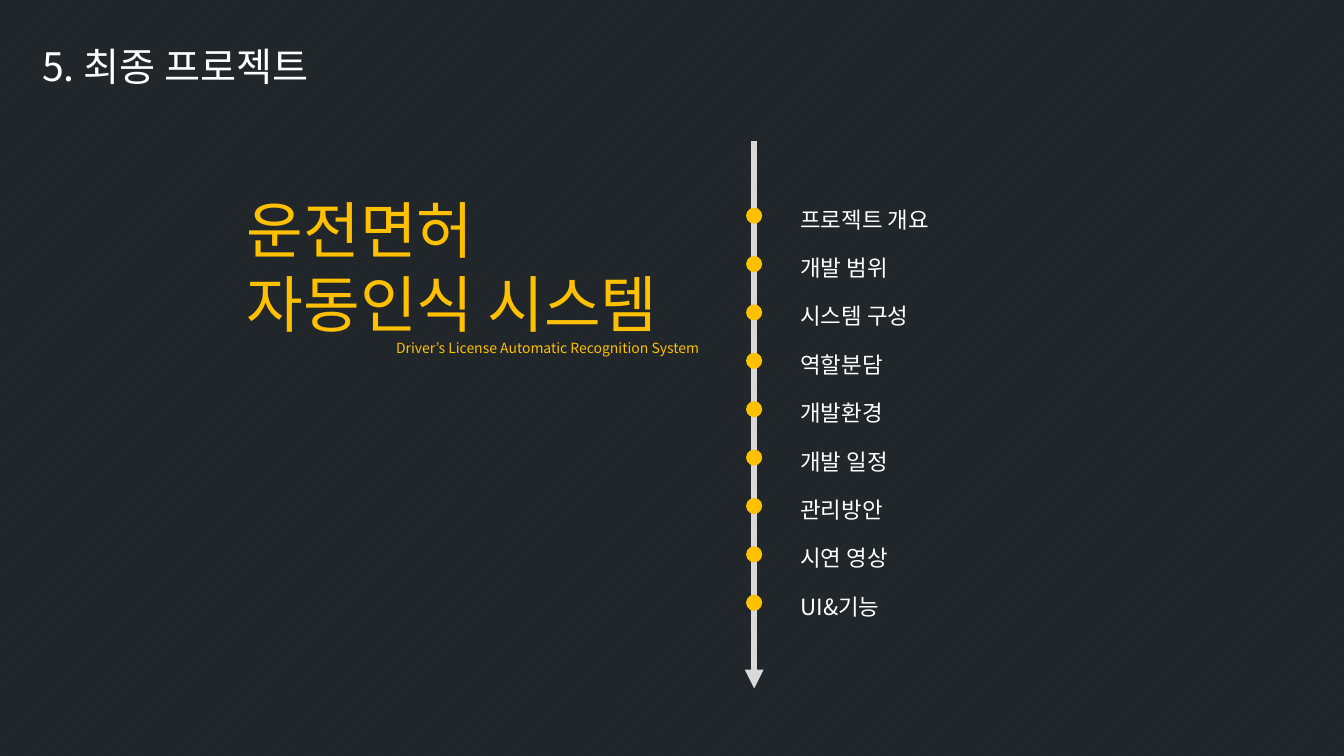
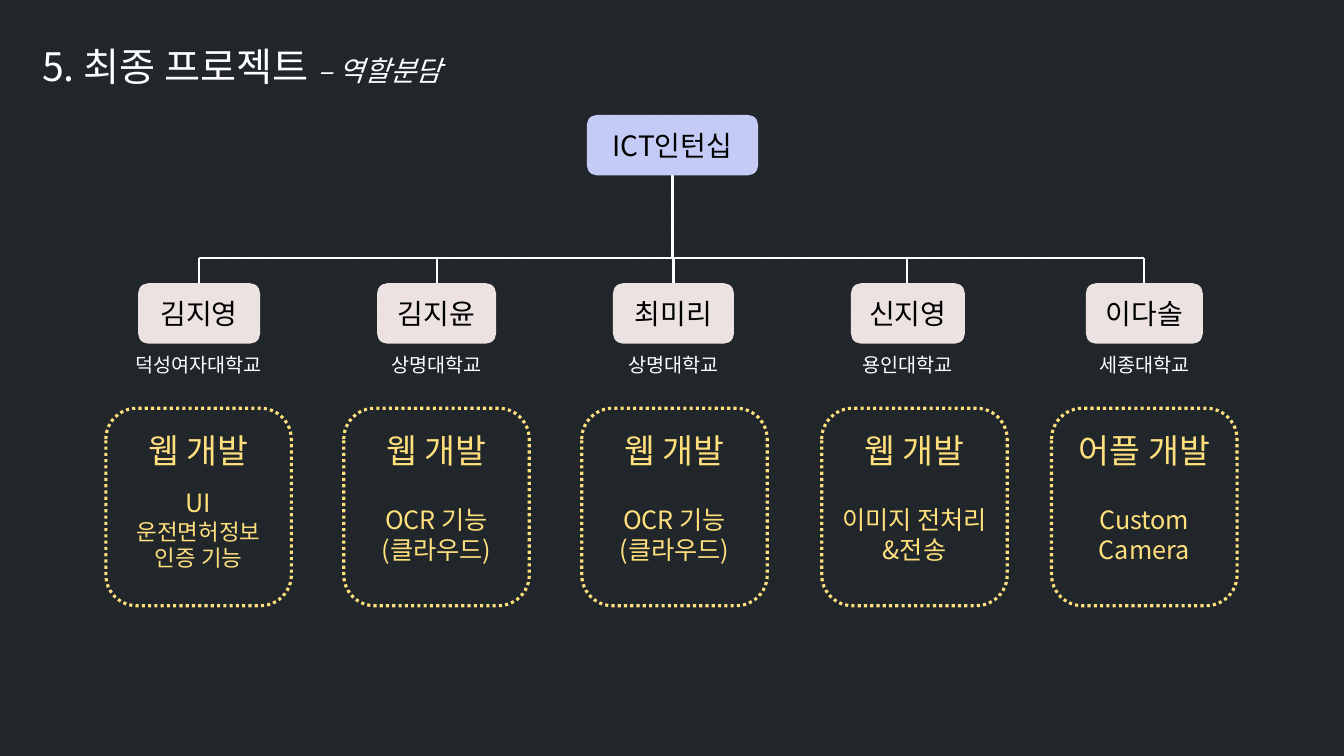
"""Build two dark slides: a project outline and a team chart."""
from dataclasses import dataclass

from lxml import etree
from pptx import Presentation
from pptx.dml.color import RGBColor
from pptx.enum.dml import MSO_LINE, MSO_PATTERN
from pptx.enum.shapes import MSO_CONNECTOR, MSO_SHAPE
from pptx.enum.text import MSO_ANCHOR, PP_ALIGN
from pptx.oxml.ns import qn
from pptx.shapes.autoshape import Shape
from pptx.slide import Slide
from pptx.util import Emu, Pt

PX = 9144
FACE = "Noto Sans CJK KR"
LEAD = 1.2
COLORS = {
    "back": "21262A", "grain": "282F34", "white": "FFFFFF", "black": "000000",
    "gold": "FFC000", "pale": "FFE07D", "gray": "D9D9D9",
    "rose": "EBE2E1", "blue": "C5CBF7",
}
OVAL, ROUND = MSO_SHAPE.OVAL, MSO_SHAPE.ROUNDED_RECTANGLE
LEFT, MID, RIGHT = PP_ALIGN.LEFT, PP_ALIGN.CENTER, PP_ALIGN.RIGHT
TOP, CENTER = MSO_ANCHOR.TOP, MSO_ANCHOR.MIDDLE
LINE, DOT = MSO_CONNECTOR.STRAIGHT, MSO_LINE.ROUND_DOT
GRAIN = MSO_PATTERN.PERCENT_5


@dataclass(frozen=True)
class Run:
    text: str
    size: int
    color: str = "white"
    slant: bool = False


@dataclass(frozen=True)
class Para:
    runs: tuple[Run, ...]
    align: PP_ALIGN = LEFT
    gap: int = 0
    lead: float = LEAD


@dataclass(frozen=True)
class Box:
    x: int
    y: int
    w: int
    h: int


@dataclass(frozen=True)
class Member:
    name: str
    school: str
    mid: int
    width: int
    frame: int
    role: str
    tasks: tuple[tuple[str, int], ...]
    gap: int = 24


TOPICS = ("프로젝트 개요", "개발 범위", "시스템 구성", "역할분담", "개발환경",
          "개발 일정", "관리방안", "시연 영상", "UI&기능")
OCR = (("OCR 기능", 18), ("(클라우드)", 18))
TEAM = (
    Member("김지영", "덕성여자대학교", 197, 121, 105, "웹 개발",
           (("UI", 18), ("운전면허정보", 16), ("인증 기능", 16)), 12),
    Member("김지윤", "상명대학교", 433, 118, 341, "웹 개발", OCR),
    Member("최미리", "상명대학교", 668, 120, 577, "웹 개발", OCR),
    Member("신지영", "용인대학교", 900, 113, 815, "웹 개발",
           (("이미지 전처리", 18), ("&전송", 18))),
    Member("이다솔", "세종대학교", 1135, 116, 1043, "어플 개발",
           (("Custom", 18), ("Camera", 18))),
)


def px(num: int) -> Emu:
    return Emu(num * PX)


def rgb(key: str) -> RGBColor:
    return RGBColor.from_string(COLORS[key])


def apply(target: object, values: dict[str, object]) -> None:
    for key, value in values.items():
        setattr(target, key, value)


def write(shape: Shape, paras: list[Para], anchor: MSO_ANCHOR = TOP,
          side: int = 10, top: int = 5) -> None:
    frame = shape.text_frame
    apply(frame, {"word_wrap": True, "vertical_anchor": anchor,
                  "margin_left": px(side), "margin_right": px(side),
                  "margin_top": px(top), "margin_bottom": px(0)})
    for num, para in enumerate(paras):
        line = frame.add_paragraph() if num else frame.paragraphs[0]
        tall = max(run.size for run in para.runs)
        apply(line, {"alignment": para.align, "space_before": Pt(para.gap),
                     "line_spacing": Pt(tall * para.lead)})
        for run in para.runs:
            part = line.add_run()
            part.text = run.text
            apply(part.font, {"name": FACE, "size": Pt(run.size), "italic": run.slant})
            part.font.color.rgb = rgb(run.color)
            etree.SubElement(part.font._element, qn("a:ea"), typeface=FACE)


def add_text(slide: Slide, box: Box, paras: list[Para]) -> None:
    write(slide.shapes.add_textbox(px(box.x), px(box.y), px(box.w), px(box.h)), paras)


def add_shape(slide: Slide, kind: MSO_SHAPE, box: Box, fill: str = "") -> Shape:
    shape = slide.shapes.add_shape(kind, px(box.x), px(box.y), px(box.w), px(box.h))
    shape.shadow.inherit = False
    shape.line.fill.background()
    if fill:
        shape.fill.solid()
        shape.fill.fore_color.rgb = rgb(fill)
    else:
        shape.fill.background()
    return shape


def add_card(slide: Slide, box: Box, text: str, fill: str) -> None:
    card = add_shape(slide, ROUND, box, fill)
    write(card, [Para((Run(text, 20, "black"),), MID)], CENTER, 0, 0)


def add_line(slide: Slide, start: tuple[int, int], end: tuple[int, int],
             color: str = "white", width: float = 1.5, arrow: bool = False) -> None:
    line = slide.shapes.add_connector(LINE, *map(px, start + end))
    line.line.color.rgb = rgb(color)
    line.line.width = Pt(width)
    props = line.element.spPr
    if arrow:
        etree.SubElement(props.find(qn("a:ln")), qn("a:tailEnd"), type="triangle")
    etree.SubElement(props, qn("a:effectLst"))


def add_slide(deck: Presentation, title: str, note: str = "") -> Slide:
    slide = deck.slides.add_slide(deck.slide_layouts[6])
    runs = (Run(title, 28),)
    if note:
        runs += (Run(note, 20, slant=True),)
    add_text(slide, Box(32, 37, 596, 57), [Para(runs)])
    return slide


def draw_plan(deck: Presentation) -> None:
    slide = add_slide(deck, "5. 최종 프로젝트")
    add_line(slide, (748, 140), (748, 683), "gray", 4.5, True)
    add_text(slide, Box(235, 185, 468, 175), [
        Para((Run("운전면허", 44, "gold"),)),
        Para((Run("자동인식 시스템", 44, "gold"),)),
        Para((Run("Driver’s License Automatic Recognition System", 10, "gold"),), RIGHT),
    ])
    for num, topic in enumerate(TOPICS):
        y = 206 + 48 * num
        add_shape(slide, OVAL, Box(740, y, 16, 16), "gold")
        add_text(slide, Box(784, y - 19, 269, 50), [Para((Run(topic, 16),), lead=1.75)])


def draw_team(deck: Presentation) -> None:
    slide = add_slide(deck, "5. 최종 프로젝트 ", "– 역할분담")
    bar = 256
    add_line(slide, (TEAM[0].mid, bar), (TEAM[-1].mid, bar))
    add_line(slide, (667, 174), (667, bar))
    add_card(slide, Box(582, 114, 170, 60), "ICT인턴십", "blue")
    for one in TEAM:
        add_line(slide, (one.mid, bar), (one.mid, 282))
        add_card(slide, Box(one.mid - one.width // 2, 281, one.width, 60), one.name, "rose")
        add_text(slide, Box(one.mid - 83, 345, 166, 34),
                 [Para((Run(one.school, 14),), MID)])
        frame = add_shape(slide, ROUND, Box(one.frame, 405, 184, 196))
        frame.line.color.rgb = rgb("pale")
        apply(frame.line, {"width": Pt(2.25), "dash_style": DOT})
        paras = [Para((Run(one.role, 24, "pale"),), MID)]
        paras += [Para((Run(text, size, "pale"),), MID, 0 if num else one.gap)
                  for num, (text, size) in enumerate(one.tasks)]
        write(frame, paras, TOP, 0, 13)


def main() -> None:
    deck = Presentation()
    apply(deck, {"slide_width": px(1333), "slide_height": px(750)})
    fill = deck.slide_master.background.fill
    fill.patterned()
    fill.pattern = GRAIN
    fill.fore_color.rgb = rgb("grain")
    fill.back_color.rgb = rgb("back")
    draw_plan(deck)
    draw_team(deck)
    deck.save("out.pptx")


if __name__ == "__main__":
    main()
